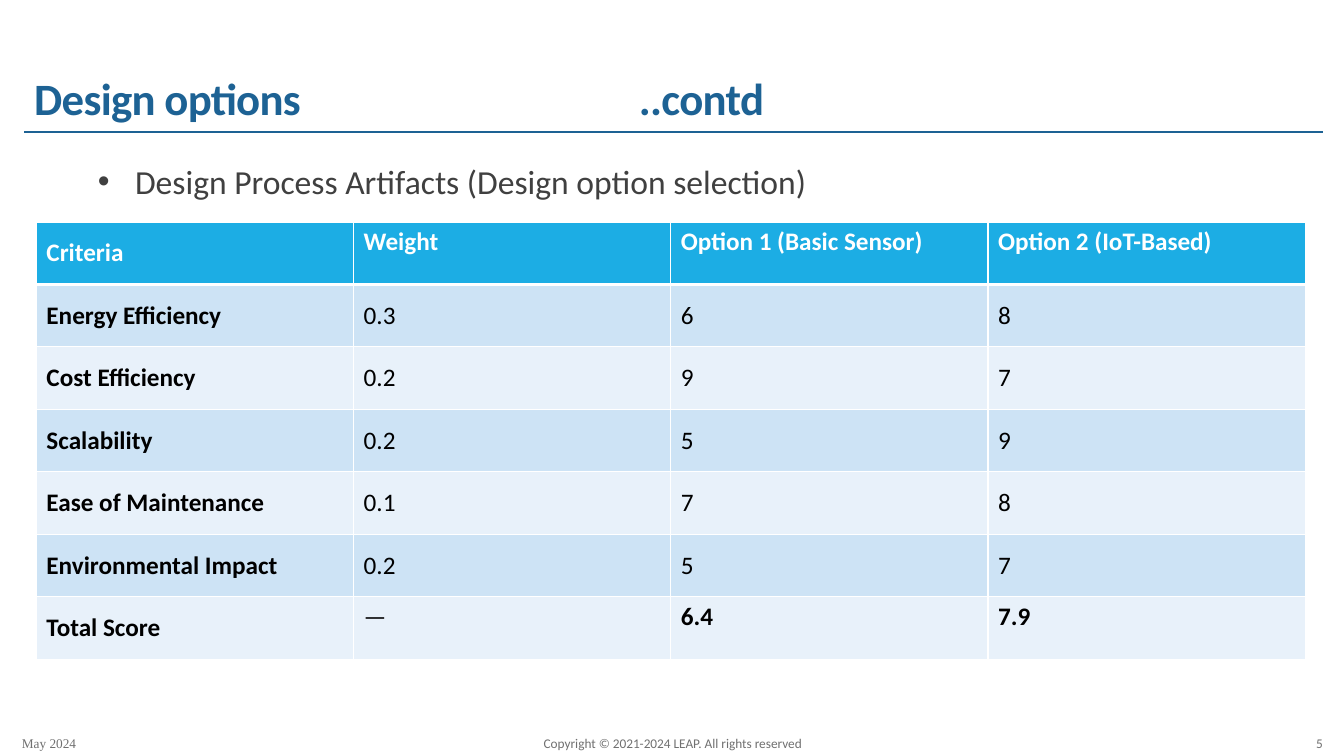
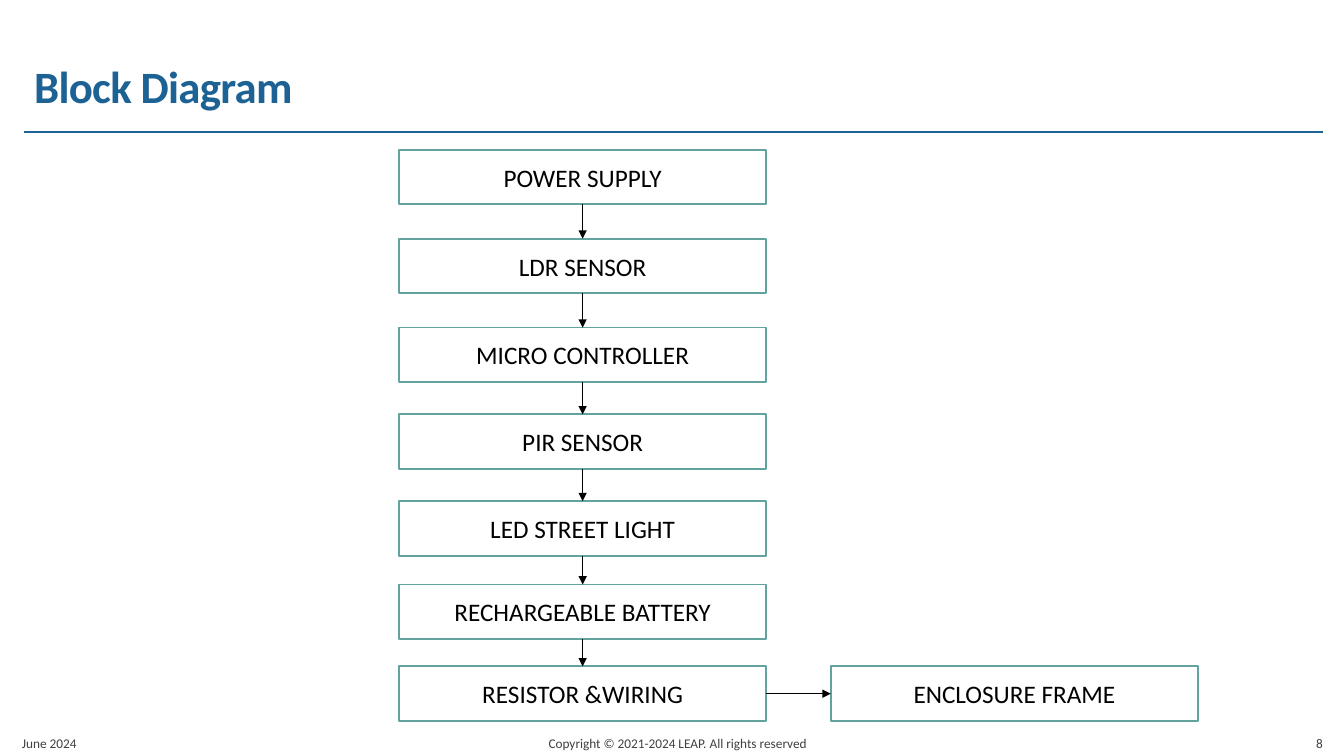
from lxml import etree
from pptx import Presentation
from pptx.dml.color import RGBColor
from pptx.enum import shapes, text
from pptx.oxml import ns
from pptx.util import Pt

TITLE_BLUE = RGBColor(0x1D, 0x62, 0x94)
HEADER_BLUE = RGBColor(0x1C, 0xAD, 0xE4)
BAND_DARK = RGBColor(0xCD, 0xE3, 0xF5)
BAND_LIGHT = RGBColor(0xE8, 0xF1, 0xFA)
BOX_TEAL = RGBColor(0x62, 0xA3, 0x9F)
DARK_GREY = RGBColor(0x40, 0x40, 0x40)
MID_GREY = RGBColor(0x70, 0x70, 0x70)
WHITE = RGBColor(0xFF, 0xFF, 0xFF)
BLACK = RGBColor(0, 0, 0)

FONT = "Calibri"
LEFT, ALIGN_CENTER, RIGHT = text.PP_ALIGN.LEFT, text.PP_ALIGN.CENTER, text.PP_ALIGN.RIGHT
TOP, MIDDLE, BOTTOM = (text.MSO_ANCHOR.TOP, text.MSO_ANCHOR.MIDDLE,
                       text.MSO_ANCHOR.BOTTOM)

CRITERIA = [
    ("Criteria", "Weight", "Option 1 (Basic Sensor)", "Option 2 (IoT-Based)"),
    ("Energy Efficiency", "0.3", "6", "8"),
    ("Cost Efficiency", "0.2", "9", "7"),
    ("Scalability", "0.2", "5", "9"),
    ("Ease of Maintenance", "0.1", "7", "8"),
    ("Environmental Impact", "0.2", "5", "7"),
    ("Total Score", "—", "6.4", "7.9"),
]
# Each block with its distance below the top of the diagram
BLOCKS = [
    ("POWER SUPPLY", 0),
    ("LDR SENSOR", 63.5),
    ("MICRO CONTROLLER", 127),
    ("PIR SENSOR", 189),
    ("LED STREET LIGHT", 251),
    ("RECHARGEABLE BATTERY", 310.5),
    ("RESISTOR &WIRING", 369),
]


def add_xml(parent, tag, **attributes):
    return etree.SubElement(parent, ns.qn(tag), attributes)


def style(para, size, color, bold=False, font=FONT, align=LEFT):
    para.alignment = align
    for span in para.runs:
        span.font.name = font
        span.font.size = Pt(size)
        span.font.bold = bold
        span.font.color.rgb = color


def add_text(page, words, left, top, width, height, anchor=TOP):
    """Add a wrapping text box and return its frame and paragraph."""
    box = page.shapes.add_textbox(Pt(left), Pt(top), Pt(width), Pt(height))
    frame = box.text_frame
    frame.word_wrap = True
    frame.vertical_anchor = anchor
    frame.text = words
    return frame, frame.paragraphs[0]


def add_line(page, start, end, color):
    line = page.shapes.add_connector(shapes.MSO_CONNECTOR.STRAIGHT,
                                     *(Pt(value) for value in start + end))
    line.line.color.rgb = color
    line.line.width = Pt(1)
    add_xml(line._element.spPr, "a:effectLst")
    return line


def add_title(page, title, top):
    left, width = 17.3, 927.4
    add_line(page, (left, 94.3), (left + width, 94.3), TITLE_BLUE)
    para = add_text(page, title, left, top, width, 64.8, BOTTOM)[1]
    para.line_spacing = 0.85
    tabs = add_xml(para._p.get_or_add_pPr(), "a:tabLst")
    add_xml(tabs, "a:tab", pos=str(Pt(432)), algn="l")
    style(para, 32, TITLE_BLUE, bold=True)
    for span in para.runs:
        span._r.get_or_add_rPr().set("spc", "-50")


def add_footer(page, date, number, color, date_font=FONT, notice_left=294.5):
    notice = "Copyright © 2021-2024 LEAP. All rights reserved"
    for words, left, width, font, align in (
            (date, 8.6, 194.4, date_font, LEFT),
            (notice, notice_left, 379.4, FONT, ALIGN_CENTER),
            (number, 849, 103, FONT, RIGHT)):
        para = add_text(page, words, left, 511, width, 28.8, BOTTOM)[1]
        style(para, 9.5, color, font=font, align=align)


def add_bullet(page, words, left, top, width, height):
    frame, para = add_text(page, words, left, top, width, height)
    frame.margin_left = frame.margin_right = 0
    para.line_spacing = 0.9
    para.space_after = Pt(4)
    props = para._p.get_or_add_pPr()
    props.set("marL", str(Pt(42.5)))
    props.set("indent", str(Pt(-26.6)))
    color = add_xml(props, "a:buClr")
    add_xml(color, "a:srgbClr", val=str(DARK_GREY))
    add_xml(props, "a:buFont", typeface="Arial")
    add_xml(props, "a:buChar", char="•")
    style(para, 24, DARK_GREY)


def add_borders(cell, bottom, top):
    props = cell._tc.get_or_add_tcPr()
    for side, width in (("L", 1), ("R", 1), ("T", top), ("B", bottom)):
        edge = add_xml(props, f"a:ln{side}", w=str(Pt(width)))
        add_xml(add_xml(edge, "a:solidFill"), "a:srgbClr", val=str(WHITE))


def add_criteria_table(page, left, top, width, height):
    rows, columns = len(CRITERIA), len(CRITERIA[0])
    table = page.shapes.add_table(rows, columns, Pt(left), Pt(top),
                                  Pt(width), Pt(height)).table
    for r, words in enumerate(CRITERIA):
        header, total = r == 0, r == rows - 1
        fill = HEADER_BLUE if header else (BAND_LIGHT, BAND_DARK)[r % 2]
        for c, word in enumerate(words):
            cell = table.cell(r, c)
            add_borders(cell, bottom=3 if header else 1, top=3 if r == 1 else 1)
            cell.fill.solid()
            cell.fill.fore_color.rgb = fill
            cell.vertical_anchor = TOP if c and (header or total) else MIDDLE
            cell.text = word
            style(cell.text_frame.paragraphs[0], 18, WHITE if header else BLACK,
                  bold=header or c == 0 or (total and c > 1))


def add_block(page, name, left, top, width, height):
    block = page.shapes.add_shape(shapes.MSO_SHAPE.RECTANGLE, Pt(left), Pt(top),
                                  Pt(width), Pt(height))
    block.shadow.inherit = False
    block.fill.solid()
    block.fill.fore_color.rgb = WHITE
    block.line.color.rgb = BOX_TEAL
    block.line.width = Pt(1.25)
    block.text_frame.word_wrap = True
    block.text_frame.vertical_anchor = MIDDLE
    block.text_frame.text = name
    style(block.text_frame.paragraphs[0], 18, BLACK, align=ALIGN_CENTER)
    return block


def add_arrow(page, source, source_side, target, target_side):
    arrow = add_line(page, (0, 0), (0, 0), BLACK)
    arrow.begin_connect(source, source_side)
    arrow.end_connect(target, target_side)
    add_xml(arrow.line._get_or_add_ln(), "a:tailEnd", type="triangle")


def add_block_diagram(page, left, top):
    width, height, side_gap = 262.4, 39, 46
    column = [add_block(page, name, left, top + offset, width, height)
              for name, offset in BLOCKS]
    for upper, lower in zip(column, column[1:]):
        add_arrow(page, upper, 2, lower, 0)
    frame = add_block(page, "ENCLOSURE FRAME", left + width + side_gap,
                      top + BLOCKS[-1][1], width, height)
    add_arrow(page, column[-1], 3, frame, 1)


def options_slide(page):
    add_title(page, "Design options\t..contd", 28)
    add_bullet(page, "Design Process Artifacts (Design option selection)",
               54, 114.5, 863.3, 398.2)
    add_footer(page, "May 2024", "5", MID_GREY, "Times New Roman", 291)
    add_criteria_table(page, 26, 158.5, 906.4, 312.5)


def diagram_slide(page):
    add_title(page, "Block Diagram", 19.5)
    add_footer(page, "June 2024", "8", DARK_GREY)
    add_block_diagram(page, 285, 107)


def main():
    deck = Presentation()
    deck.slide_width, deck.slide_height = Pt(960), Pt(540)
    for build in (options_slide, diagram_slide):
        build(deck.slides.add_slide(deck.slide_layouts[6]))
    deck.save("out.pptx")


if __name__ == "__main__":
    main()
